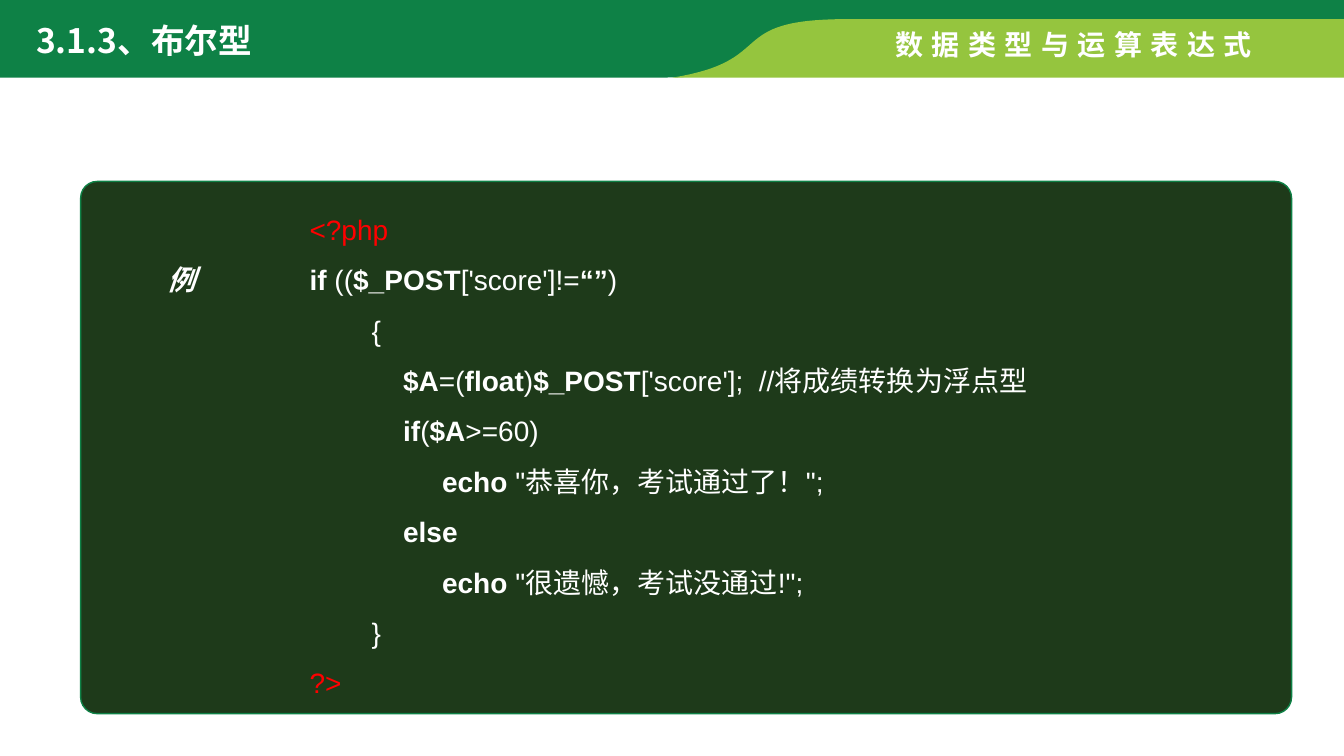
"""Build the slide on the Boolean type with a PHP code example."""
from dataclasses import dataclass

from lxml import etree
from pptx import Presentation
from pptx.dml.color import RGBColor
from pptx.enum.shapes import MSO_SHAPE
from pptx.enum.text import MSO_ANCHOR, PP_ALIGN
from pptx.oxml.ns import qn
from pptx.util import Inches, Pt

ROUNDED = MSO_SHAPE.ROUNDED_RECTANGLE
MIDDLE = MSO_ANCHOR.MIDDLE
CENTER = PP_ALIGN.CENTER


@dataclass(frozen=True)
class Theme:
    green: RGBColor = RGBColor(0x0E, 0x81, 0x46)
    lime: RGBColor = RGBColor(0x95, 0xC5, 0x3E)
    panel: RGBColor = RGBColor(0x1E, 0x3A, 0x1A)
    white: RGBColor = RGBColor(0xFF, 0xFF, 0xFF)
    red: RGBColor = RGBColor(0xFF, 0x00, 0x00)
    latin: str = "Arial"
    cjk: str = "Noto Sans CJK SC"
    title: int = 24
    body: int = 20


THEME = Theme()


def curve(p0, p1, p2, p3, steps=32):
    """Return points along a cubic Bezier curve, without its start."""
    points = []
    for i in range(1, steps + 1):
        t = i / steps
        u = 1 - t
        points.append(tuple(
            u**3 * a + 3 * u * u * t * b + 3 * u * t * t * c + t**3 * d
            for a, b, c, d in zip(p0, p1, p2, p3)
        ))
    return points


def style(r, size, color, bold, font=THEME.latin, spacing=0):
    """Format one run, with its East Asian font and letter spacing."""
    r.font.name = font
    r.font.size = Pt(size)
    r.font.bold = bold
    r.font.color.rgb = color
    rPr = r.font._element
    etree.SubElement(rPr, qn("a:ea")).set("typeface", THEME.cjk)
    if spacing:
        rPr.set("spc", str(spacing * 100))


prs = Presentation()
prs.slide_width = Inches(13.33)
prs.slide_height = Inches(7.5)
s = prs.slides.add_slide(prs.slide_layouts[6])

green_band = [
    (0, -0.03), (13.33, -0.03), (13.33, 0.24), (8.27, 0.24), (8.09, 0.28),
    *curve((8.09, 0.28), (7.27, 0.44), (7.7, 0.77), (6.55, 0.77)),
    (0, 0.77),
]
lime_band = [
    (8.39, 0.19), (13.33, 0.19), (13.33, 0.77), (6.67, 0.77),
    *curve((6.67, 0.77), (7.73, 0.6), (7.17, 0.19), (8.39, 0.19)),
]
for outline, color in ((green_band, THEME.green), (lime_band, THEME.lime)):
    points = [(Inches(x), Inches(y)) for x, y in outline]
    builder = s.shapes.build_freeform(*points[0], scale=1.0)
    builder.add_line_segments(points[1:], close=True)
    sp = builder.convert_to_shape()
    sp.shadow.inherit = False
    sp.fill.solid()
    sp.fill.fore_color.rgb = color
    sp.line.fill.background()

panel = s.shapes.add_shape(ROUNDED, Inches(0.8), Inches(1.8), Inches(12.01), Inches(5.28))
panel.adjustments[0] = 0.031
panel.shadow.inherit = False
panel.fill.solid()
panel.fill.fore_color.rgb = THEME.panel
panel.line.color.rgb = THEME.green
panel.line.width = Pt(1)

LABELS = [
    ("数据类型与运算表达式", (8.78, 0.22, 3.85, 0.44), THEME.body, THEME.latin, 6, False),
    ("3.1.3、布尔型", (0.26, 0.15, 5.01, 0.5), THEME.title, THEME.cjk, 0, False),
    ("例", (1.48, 2.55, 0.64, 0.45), THEME.body, THEME.latin, 6, True),
]
for text, box, size, font, spacing, is_example in LABELS:
    tf = s.shapes.add_textbox(*map(Inches, box)).text_frame
    tf.word_wrap = spacing == 0 or is_example
    tf.text = text
    p = tf.paragraphs[0]
    r = p.runs[0]
    style(r, size, THEME.white, True, font, spacing)
    if is_example:
        p.alignment = CENTER
        r.font.italic = True

CODE = """<?php
*if *((*$_POST*['score']!=*“”*)
        {
            *$A*=(*float*)*$_POST*['score'];  //将成绩转换为浮点型
            *if*(*$A*>=60)
                 *echo* "恭喜你，考试通过了！";
            *else*
                 *echo* "很遗憾，考试没通过!";
        }
?>"""
tf = s.shapes.add_textbox(Inches(2.94), Inches(1.85), Inches(9.29), Inches(5.18)).text_frame
tf.word_wrap = True
tf.vertical_anchor = MIDDLE
tf.margin_left = tf.margin_right = Inches(0.13)
tf.margin_top = tf.margin_bottom = Inches(0.07)
for i, line in enumerate(CODE.splitlines()):
    p = tf.add_paragraph() if i else tf.paragraphs[0]
    p.line_spacing = 1.5
    color = THEME.red if "?" in line else THEME.white
    for j, part in enumerate(line.split("*")):
        if part:
            r = p.add_run()
            r.text = part
            style(r, THEME.body, color, j % 2 == 1)

prs.save("out.pptx")
